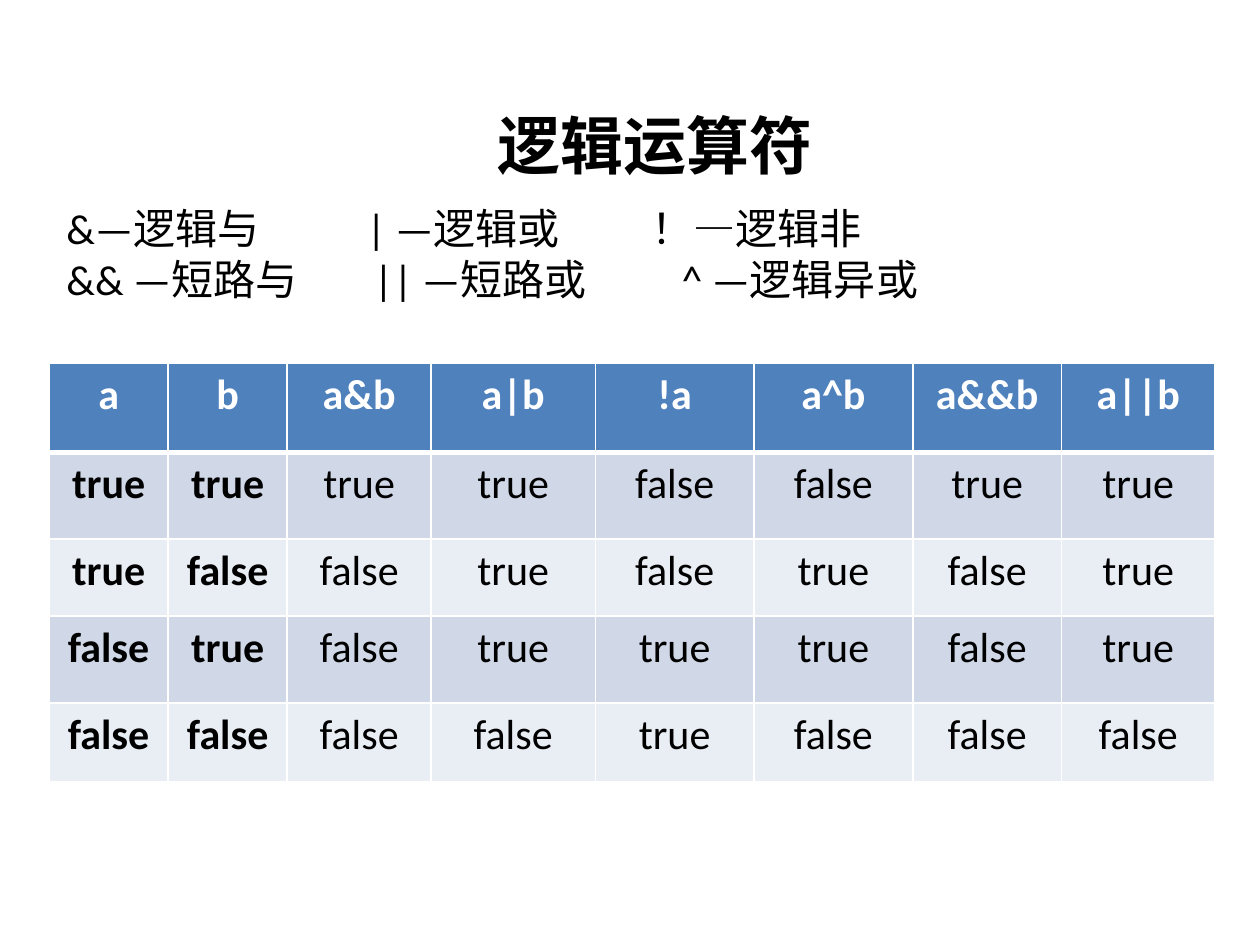
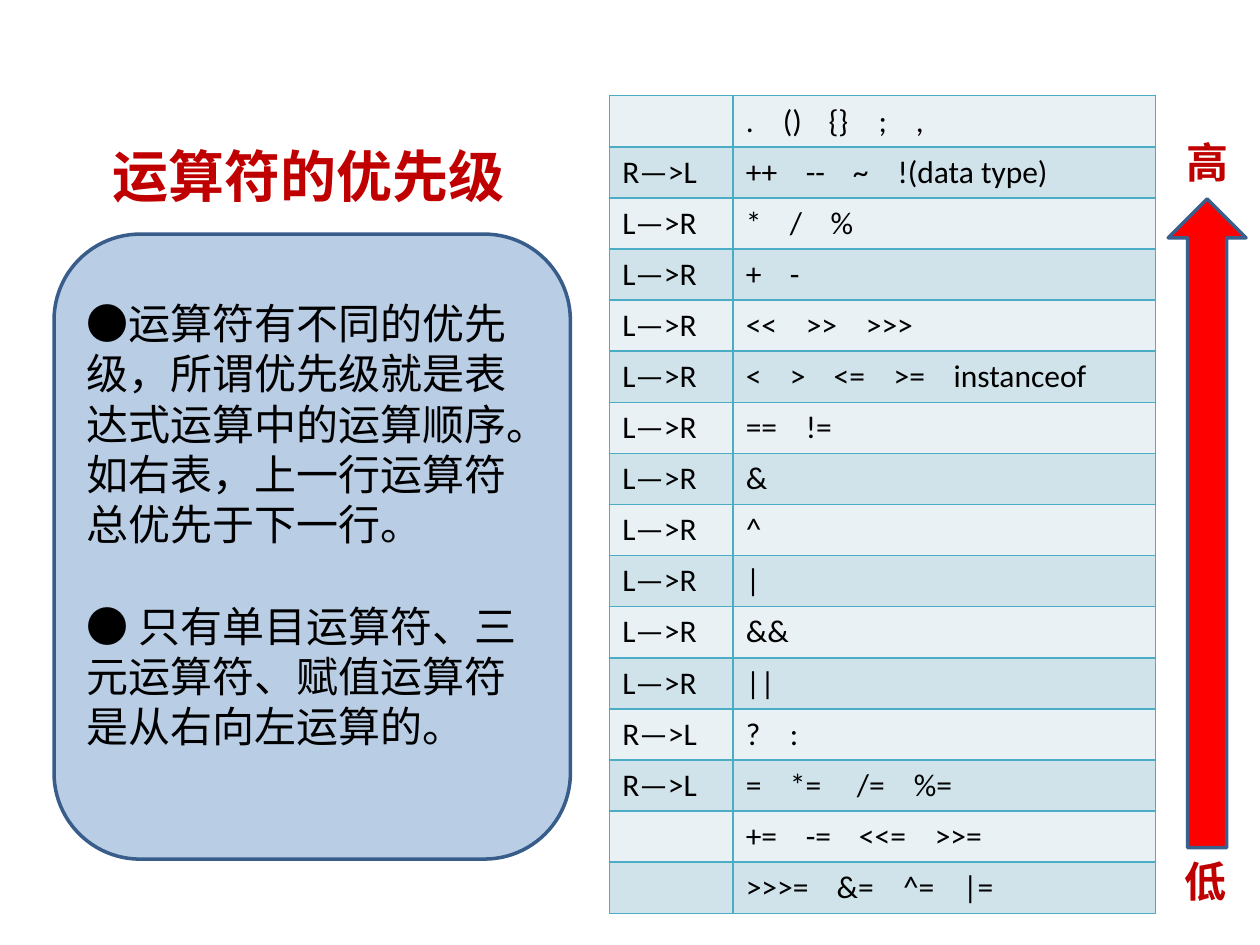
from itertools import cycle

from lxml import etree
from pptx import Presentation
from pptx.dml.color import RGBColor
from pptx.enum.shapes import MSO_SHAPE
from pptx.enum.text import PP_ALIGN
from pptx.oxml.ns import qn
from pptx.util import Cm, Pt

ROUNDED = MSO_SHAPE.ROUNDED_RECTANGLE
UP_ARROW = MSO_SHAPE.UP_ARROW
LEFT, CENTER = PP_ALIGN.LEFT, PP_ALIGN.CENTER

LATIN, SANS, CHINESE = "Calibri", "Arial", "Noto Sans CJK SC"
COLORS = {
    "white": "FFFFFF", "black": "000000", "accent": "C00000",
    "header": "4F81BD", "blue_dark": "D0D8E8", "blue_light": "E9EDF4",
    "teal": "4BACC6", "teal_dark": "D0E3EA", "teal_light": "E9F1F5",
    "panel": "B9CDE5", "panel_line": "385D8A",
    "arrow": "FF0000", "arrow_line": "3A5F8C",
}

# Each legend line: its parts and the tab stops (cm) between them
LEGEND = [
    (["&—逻辑与", "| —逻辑或", "！—逻辑非"], [6.05, 11.8]),
    (["&& —短路与", "|| —短路或", "^ —逻辑异或"], [6.2, 12.4]),
]

TRUTH_HEAD = ["a", "b", "a&b", "a|b", "!a", "a^b", "a&&b", "a||b"]

# Each precedence level: direction, operators, tab stops (cm)
PRECEDENCE = [
    ("", [".", "()", "{}", ";", ","], [0.75, 1.67, 2.68, 3.43]),
    ("R—>L", ["++", "--", "~", "!(data type)"], [1.21, 2.16, 3.06]),
    ("L—>R", ["*", "/", "%"], [0.89, 1.71]),
    ("L—>R", ["+", "-"], [0.89]),
    ("L—>R", ["<<", ">>", ">>>"], [1.21, 2.42]),
    ("L—>R", ["<", ">", "<=", ">=", "instanceof"], [0.89, 1.77, 2.98, 4.19]),
    ("L—>R", ["==", "!="], [1.21]),
    ("L—>R", ["&"], []),
    ("L—>R", ["^"], []),
    ("L—>R", ["|"], []),
    ("L—>R", ["&&"], []),
    ("L—>R", ["||"], []),
    ("R—>L", ["?", ":"], [0.89]),
    ("R—>L", ["=", "*=", "/=", "%="], [0.89, 2.24, 3.39]),
    ("", ["+=", "-=", "<<=", ">>="], [1.21, 2.28, 3.81]),
    ("", [">>>=", "&=", "^=", "|="], [1.83, 3.17, 4.38]),
]

PRIORITY_NOTES = [
    "●运算符有不同的优先级，所谓优先级就是表达式运算中的运算顺序。"
    "如右表，上一行运算符总优先于下一行。",
    "● 只有单目运算符、三元运算符、赋值运算符是从右向左运算的。",
]


def rgb(color):
    return RGBColor.from_string(COLORS[color])


class SlideBuilder:
    """Holds the shared style and the slide being filled."""

    def __init__(self):
        self.deck = Presentation()
        self.deck.slide_width, self.deck.slide_height = Cm(25.4), Cm(19.05)
        self.page = None

    def new_page(self):
        self.page = self.deck.slides.add_slide(self.deck.slide_layouts[6])

    def add_span(self, para, text, size, font=LATIN, color="black", bold=False,
                 align=LEFT, stops=()):
        para.alignment = align
        if stops:
            tabs = etree.SubElement(para._p.get_or_add_pPr(), qn("a:tabLst"))
            for stop in stops:
                etree.SubElement(tabs, qn("a:tab"), pos=str(Cm(stop)), algn="l")
        span = para.add_run()
        span.text = text
        span.font.size, span.font.bold = Pt(size), bold
        span.font.name = font
        span.font.color.rgb = rgb(color)
        etree.SubElement(span._r.get_or_add_rPr(), qn("a:ea"), typeface=CHINESE)

    def text(self, left, top, width, height, lines, size, gap=0, **style):
        """Lines are (text, tab stops) pairs; gap is the space between them."""
        box = self.page.shapes.add_textbox(Cm(left), Cm(top), Cm(width), Cm(height))
        frame = box.text_frame
        frame.word_wrap = True
        for index, (line, stops) in enumerate(lines):
            para = frame.add_paragraph() if index else frame.paragraphs[0]
            if index and gap:
                para.space_before = Pt(gap)
            self.add_span(para, line, size, stops=stops, **style)

    def label(self, left, top, width, height, words, size, **style):
        """A bold one-line heading or mark."""
        self.text(left, top, width, height, [(words, ())], size, bold=True, **style)

    def shape(self, kind, left, top, width, height, fill, line):
        shape = self.page.shapes.add_shape(
            kind, Cm(left), Cm(top), Cm(width), Cm(height))
        shape.shadow.inherit = False
        shape.fill.solid()
        shape.fill.fore_color.rgb = rgb(fill)
        shape.line.color.rgb = rgb(line)
        shape.line.width = Pt(2)

    def table(self, left, top, widths, heights):
        table = self.page.shapes.add_table(
            len(heights), len(widths), Cm(left), Cm(top),
            Cm(sum(widths)), Cm(sum(heights))).table
        table.first_row = table.horz_banding = False
        for column, width in zip(table.columns, widths):
            column.width = Cm(width)
        for row, height in zip(table.rows, heights):
            row.height = Cm(height)
        return table

    def cell(self, cell, text, size, fill, border, top=1, bottom=1, **style):
        props = cell._tc.get_or_add_tcPr()
        for side, width in zip("LRTB", (1, 1, top, bottom)):
            edge = etree.SubElement(props, qn(f"a:ln{side}"), w=str(Pt(width)))
            paint = etree.SubElement(edge, qn("a:solidFill"))
            etree.SubElement(paint, qn("a:srgbClr"), val=COLORS[border])
        cell.fill.solid()
        cell.fill.fore_color.rgb = rgb(fill)
        if text:
            self.add_span(cell.text_frame.paragraphs[0], text, size, **style)


def truth_rows():
    for a in (True, False):
        for b in (True, False):
            values = [a, b, a and b, a or b, not a, a != b, a and b, a or b]
            yield [str(value).lower() for value in values]


def logic_page(builder):
    builder.new_page()

    # Truth table
    table = builder.table(0.99, 7.32,
                          [2.4, 2.4, 2.9, 3.31, 3.2, 3.2, 3.0, 3.09],
                          [1.8, 1.75, 1.55, 1.75, 1.58])
    for column, name in enumerate(TRUTH_HEAD):
        builder.cell(table.cell(0, column), name, 24, "header", "white", bottom=3,
                     color="white", bold=True, align=CENTER)
    bands = cycle(["blue_dark", "blue_light"])
    for row, (values, band) in enumerate(zip(truth_rows(), bands), 1):
        for column, value in enumerate(values):
            builder.cell(table.cell(row, column), value, 24, band, "white",
                         top=3 if row == 1 else 1, bold=column < 2, align=CENTER)

    # Operator legend and title
    lines = [("\t".join(parts), stops) for parts, stops in LEGEND]
    builder.text(1.09, 3.96, 22.81, 2.31, lines, 24)
    builder.label(7.7, 2.03, 11.0, 1.93, "逻辑运算符", 36, align=CENTER)


def precedence_page(builder):
    builder.new_page()

    # Explanation panel
    builder.shape(ROUNDED, 1.09, 4.72, 10.41, 12.6, "panel", "panel_line")
    builder.label(2.01, 2.72, 8.61, 1.63, "运算符的优先级", 32,
                  font=SANS, color="accent")
    builder.text(1.5, 5.87, 9.6, 11.46, [(note, ()) for note in PRIORITY_NOTES],
                 24, gap=29, font=SANS)

    # Precedence table
    table = builder.table(12.29, 1.93, [2.49, 8.51], [1.03] * len(PRECEDENCE))
    bands = cycle(["teal_light", "teal_dark"])
    for row, ((direction, operators, stops), band) in enumerate(zip(PRECEDENCE, bands)):
        builder.cell(table.cell(row, 0), direction, 18, band, "teal")
        builder.cell(table.cell(row, 1), "\t".join(operators), 18, band, "teal",
                     stops=stops)

    # High-to-low scale
    builder.shape(UP_ARROW, 23.55, 4.01, 1.57, 13.08, "arrow", "arrow_line")
    for left, top, word in ((23.67, 2.62, "高"), (23.62, 17.12, "低")):
        builder.label(left, top, 1.3, 1.27, word, 24, font=CHINESE, color="accent")


def main():
    builder = SlideBuilder()
    logic_page(builder)
    precedence_page(builder)
    builder.deck.save("out.pptx")


if __name__ == "__main__":
    main()
